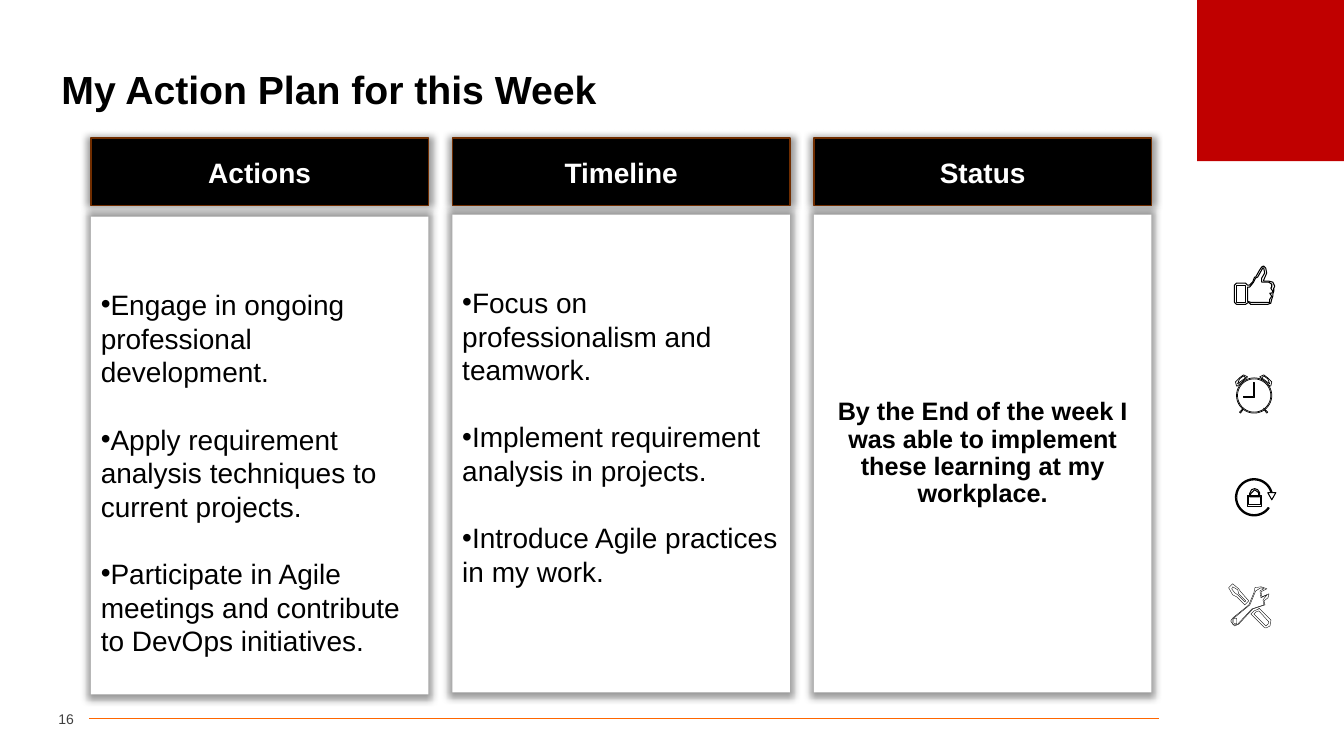
"""Build the weekly action plan slide."""
import math

from lxml import etree
from pptx import Presentation
from pptx import util as u
from pptx.dml.color import RGBColor
from pptx.enum import shapes, text
from pptx.oxml.ns import qn

COLORS = {"black": "000000", "white": "FFFFFF", "red": "C00000",
          "orange": "FF6600", "brown": "702D00", "gray": "404040"}
ALIGN = text.PP_ALIGN


def arc(center, radius, start, end):
    count = 48
    angles = [math.radians(start + (end - start) * i / count) for i in range(count + 1)]
    return [(center[0] + radius * math.cos(a), center[1] + radius * math.sin(a)) for a in angles]


def mirror(outline):
    return [[(90 - x, y) for x, y in contour] for contour in outline]


THUMB = [[
    [(65, 43), (66, 41), (64, 37), (60, 36), (55, 36), (55, 35), (58, 28), (57, 23), (55, 21),
     (53, 22), (51, 25), (47, 32), (46, 32), (44, 37), (41, 40), (39, 40), (37, 38), (28, 38),
     (26, 40), (26, 57), (28, 59), (37, 59), (40, 57), (42, 59), (59, 59), (62, 58), (63, 54),
     (64, 51), (64, 49), (65, 46)],
    [(37, 57), (28, 57), (28, 40), (37, 40)],
    [(63, 42), (62, 43), (64, 46), (63, 48), (61, 48), (63, 51), (61, 54), (61, 57), (42, 57),
     (39, 56), (39, 42), (41, 42), (45, 37), (47, 33), (49, 32), (53, 25), (54, 23), (55, 23),
     (56, 28), (53, 33), (53, 37), (60, 37), (63, 39)],
]]
BELL = [[(61, 36), (52, 28), (51, 27), (55, 25), (59, 28), (63, 32), (62, 36)],
        [(53, 28), (61, 34), (59, 29), (55, 26)]]
FOOT = [[(32, 63), (31, 62), (35, 58), (35, 59)]]
CLOCK_CENTER = (45.5, 45.5)
CLOCK = [
    BELL, mirror(BELL), FOOT, mirror(FOOT),
    [arc(CLOCK_CENTER, 17.5, 0, 360), arc(CLOCK_CENTER, 16.5, 360, 0)],
    [[(46, 47), (35, 47), (35, 46), (45, 46), (45, 33), (46, 33)]],
]
LOCK_CENTER = (45.5, 44.5)
LOCK = [
    [arc(LOCK_CENTER, 18.5, 0, -324) + arc(LOCK_CENTER, 17.2, -324, 0)],
    [[(59, 40), (63, 47), (67, 40)]],
    [[(41, 44), (41, 41), (43, 37), (46, 36), (49, 37), (51, 40), (51, 44)],
     [(42, 43), (42, 41), (46, 37), (50, 40), (50, 43)]],
    [[(39, 43), (53, 43), (53, 54), (39, 54)], [(40, 44), (40, 52), (52, 52), (52, 44)]],
]
TOOLS = [
    [[(60, 68), (58, 67), (45, 54), (48, 51), (53, 49), (53, 48), (65, 60), (64, 66)],
     [(60, 66), (62, 64), (63, 62), (53, 51), (50, 52), (48, 54)]],
    [[(39, 45), (31, 37), (27, 35), (23, 28), (27, 24), (33, 29), (35, 32), (43, 41), (41, 43)],
     [(29, 33), (32, 35), (39, 42), (40, 41), (33, 34), (32, 30), (27, 27), (26, 29)]],
    [[(55, 27), (49, 28), (48, 33), (43, 45), (27, 58), (25, 61), (27, 64), (29, 66), (33, 64),
      (47, 49), (59, 45), (58, 41), (62, 38), (63, 34), (56, 37), (55, 32), (61, 29)],
     [(55, 28), (58, 29), (54, 31), (55, 38), (61, 35), (57, 40), (58, 45), (46, 49), (32, 64),
      (29, 65), (27, 64), (27, 59), (44, 45), (49, 33), (50, 31)],
     [(30, 64), (31, 63), (31, 59), (30, 58), (28, 59), (28, 63)]],
]
ICONS = [(THUMB, 30.45, 6.17, 0.75), (CLOCK, 30.45, 8.81, 0.5),
         (LOCK, 30.45, 11.4, 0.75), (TOOLS, 30.38, 14.1, 0.25)]
PLAN = [
    ("Actions", 5.46, ["Engage in ongoing professional development.",
                       "Apply requirement analysis techniques to current projects.",
                       "Participate in Agile meetings and contribute to DevOps initiatives."],
     dict(size=20, bullet=True, gap=24, insets=(0.25, 0.98, 0.25, 0.13))),
    ("Timeline", 5.41, ["Focus on professionalism and teamwork.",
                        "Implement requirement analysis in projects.",
                        "Introduce Agile practices in my work."],
     dict(size=20, bullet=True, gap=24, insets=(0.25, 0.13, 0.25, 0.98))),
    ("Status", 5.41, ["By the End of the week I was able to implement these learning "
                      "at my workplace."],
     dict(size=18, bold=True, align=ALIGN.CENTER, line_spacing=0.9, before=10)),
]


def rgb(name):
    return RGBColor.from_string(COLORS[name])


def write(shape, lines, size, color="black", bold=False, align=ALIGN.LEFT, bullet=False,
          gap=0, before=0, line_spacing=None, insets=(0.25, 0.13, 0.25, 0.13)):
    frame = shape.text_frame
    frame.word_wrap = True
    frame.vertical_anchor = text.MSO_ANCHOR.MIDDLE
    (frame.margin_left, frame.margin_top,
     frame.margin_right, frame.margin_bottom) = (u.Cm(inset) for inset in insets)
    for index, line in enumerate(lines):
        paragraph = frame.add_paragraph() if index else frame.paragraphs[0]
        paragraph.alignment = align
        paragraph.space_before = u.Pt(before)
        paragraph.space_after = u.Pt(gap if index < len(lines) - 1 else 0)
        if line_spacing:
            paragraph.line_spacing = line_spacing
        if bullet:
            properties = paragraph._p.get_or_add_pPr()
            properties.set("marL", "0")
            properties.set("indent", "0")
            etree.SubElement(properties, qn("a:buFont"), typeface="Arial")
            etree.SubElement(properties, qn("a:buChar"), char="•")
        run = paragraph.add_run()
        run.text = line
        run.font.name, run.font.size, run.font.bold = "Arial", u.Pt(size), bold
        run.font.color.rgb = rgb(color)


def paint(shape, fill, line=None, width=1):
    shape.shadow.inherit = False
    shape.fill.solid()
    shape.fill.fore_color.rgb = rgb(fill)
    if line:
        shape.line.color.rgb = rgb(line)
        shape.line.width = u.Pt(width)
    else:
        shape.line.fill.background()


def add_box(slide, box, fill, line=None, kind=shapes.MSO_SHAPE.RECTANGLE):
    shape = slide.shapes.add_shape(kind, *map(u.Cm, box))
    paint(shape, fill, line)
    return shape


def add_text(slide, box, line, **style):
    write(slide.shapes.add_textbox(*map(u.Cm, box)), [line], **style)


def add_shadow(shape):
    effects = shape._element.spPr.find(qn("a:effectLst"))
    shadow = etree.SubElement(effects, qn("a:outerShdw"), blurRad="63500", sx="102000",
                              sy="102000", algn="ctr", rotWithShape="0")
    color = etree.SubElement(shadow, qn("a:srgbClr"), val=COLORS["black"])
    etree.SubElement(color, qn("a:alpha"), val="40000")


def add_plan(slide, left, top, width, pitch):
    columns = [(left + pitch * index, *column) for index, column in enumerate(PLAN)]
    for x, _, body_top, lines, style in columns:
        body = add_box(slide, (x, body_top, width, 12.04), "white")
        add_shadow(body)
        write(body, lines, **style)
    for x, heading, *_ in columns:
        header = add_box(slide, (x, top, width, 1.7), "black", "brown")
        add_shadow(header)
        write(header, [heading], size=20, color="white", bold=True, align=ALIGN.CENTER)


def add_icon(slide, outlines, left, top, width):
    add_box(slide, (left, top, 2.29, 2.29), "white", kind=shapes.MSO_SHAPE.OVAL)
    for outline in outlines:
        builder = None
        for contour in outline:
            points = [(round(x * 25.4), round(y * 25.4)) for x, y in contour]
            if builder is None:
                builder = slide.shapes.build_freeform(*points[0], scale=u.Cm(1) / 1000)
            else:
                builder.move_to(*points[0])
            builder.add_line_segments(points[1:], close=True)
        paint(builder.convert_to_shape(u.Cm(left), u.Cm(top)), "white", "black", width)


def add_footer(slide, left, right, y):
    rule = slide.shapes.add_connector(shapes.MSO_CONNECTOR.STRAIGHT,
                                      *map(u.Cm, (left, y, right, y)))
    rule.line.color.rgb = rgb("orange")
    rule.line.width = u.Pt(0.5)
    etree.SubElement(rule._element.spPr, qn("a:effectLst"))
    add_text(slide, (left - 1.4, y - 0.36, 1.02, 0.74), "16", size=10, color="gray",
             align=ALIGN.RIGHT, insets=(0, 0.13, 0, 0.13))


def main():
    presentation = Presentation()
    presentation.slide_width, presentation.slide_height = u.Cm(33.87), u.Cm(19.05)
    slide = presentation.slides.add_slide(presentation.slide_layouts[6])
    add_footer(slide, 2.24, 29.21, 18.11)
    add_box(slide, (30.17, 0, 3.7, 4.06), "red")
    add_text(slide, (1.3, 1.32, 31.27, 1.98), "My Action Plan for this Week",
             size=28, bold=True, line_spacing=0.9)
    add_plan(slide, 2.29, 3.48, 8.51, 9.11)
    for icon in ICONS:
        add_icon(slide, *icon)
    presentation.save("out.pptx")


if __name__ == "__main__":
    main()
